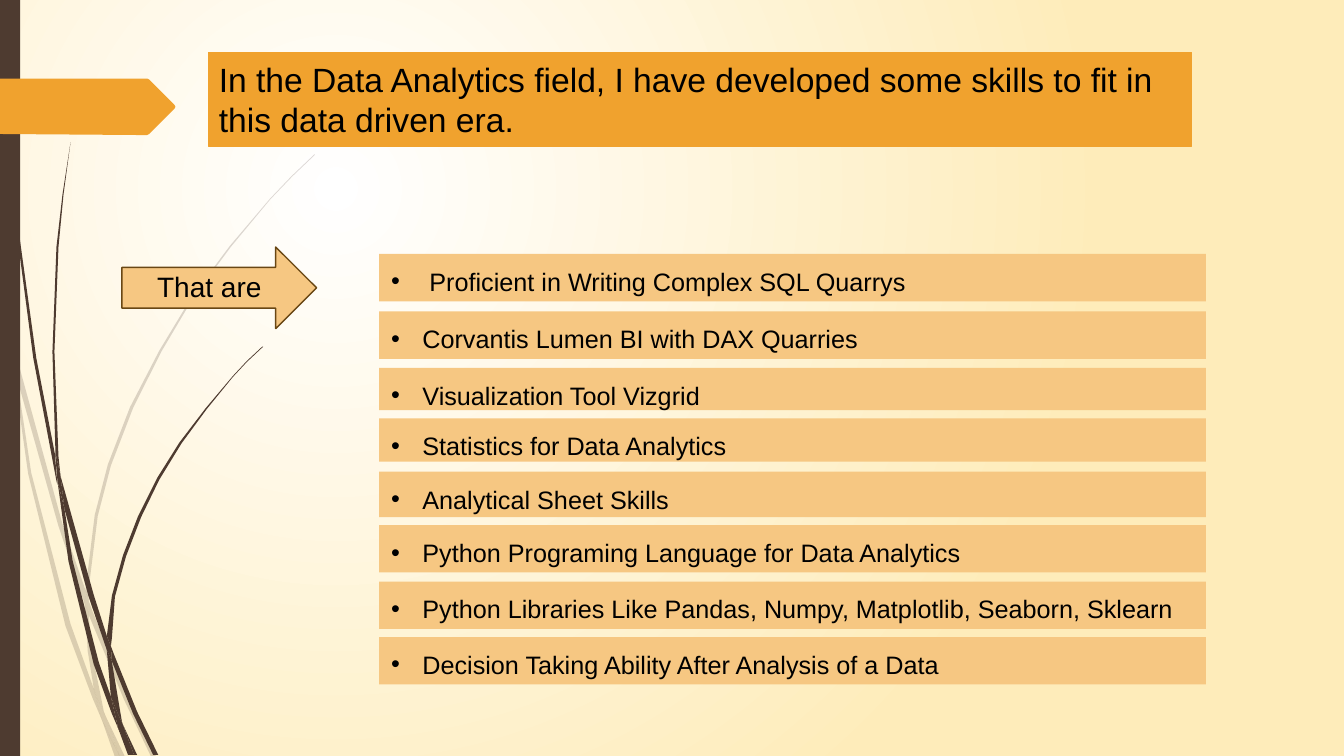
from lxml import etree
from pptx import Presentation
from pptx.dml.color import RGBColor
from pptx.enum.shapes import MSO_SHAPE as Shape
from pptx.enum.text import MSO_ANCHOR as Anchor, MSO_AUTO_SIZE as AutoSize, PP_ALIGN as Align
from pptx.oxml.ns import qn
from pptx.util import Inches, Pt

BROWN = RGBColor(0x4E, 0x3B, 0x30)
ORANGE = RGBColor(0xF0, 0xA2, 0x2E)
PEACH = RGBColor(0xF6, 0xC7, 0x82)
OUTLINE = RGBColor(0x69, 0x47, 0x14)
CREAM = RGBColor(0xFE, 0xEC, 0xBA)
WHITE = RGBColor(0xFF, 0xFF, 0xFF)
BLACK = RGBColor(0, 0, 0)
FONT = "Arial"

HEADLINE = "In the Data Analytics field, I have developed some skills to fit in this data driven era."
LEAD_IN = "That are"
SKILLS = [
    ("Proficient in Writing Complex SQL Quarrys", 2.52, 0.47, 0.38),
    ("Corvantis Lumen BI with DAX Quarries", 3.09, 0.47, 0.31),
    ("Visualization Tool Vizgrid", 3.65, 0.42, 0.31),
    ("Statistics for Data Analytics", 4.15, 0.43, 0.31),
    ("Analytical Sheet Skills", 4.68, 0.45, 0.31),
    ("Python Programing Language for Data Analytics", 5.21, 0.47, 0.31),
    ("Python Libraries Like Pandas, Numpy, Matplotlib, Seaborn, Sklearn", 5.77, 0.47, 0.31),
    ("Decision Taking Ability After Analysis of a Data", 6.32, 0.47, 0.31),
]

PALE_GRASS = [
    [(0.11, 3.5), (0.09, 3.22), (0, 2.82), (0, 2.99), (0.1, 3.44)],
    [(0.58, 5.22), (0.84, 5.99), (0.85, 5.86), (0.62, 5.2), (0.14, 3.45), (0.17, 3.76)],
    [(0.92, 6.07), (0.88, 5.96), (0.88, 6.1), (1.23, 6.94), (1.5, 7.51), (1.55, 7.51), (1.27, 6.92)],
    [(1.19, 7.51), (1.24, 7.51), (1.05, 7.11)],
    [(0.93, 6.83), (0.7, 6.19), (0.31, 4.69), (0.17, 3.76), (0.11, 3.5), (0.28, 4.7),
     (0.65, 6.21), (0.92, 6.93), (1.01, 7.14), (0.99, 7.07)],
    [(0.84, 5.99), (0.87, 6.46), (0.93, 6.83), (0.96, 6.92), (1.05, 7.11), (1.03, 7.06),
     (0.91, 6.46), (0.88, 6.1), (0.88, 6.08)],
    [(0.88, 5.84), (0.97, 5.12), (1.1, 4.62), (1.32, 4.05), (1.6, 3.49), (1.92, 2.95),
     (2.29, 2.45), (2.68, 1.98), (2.9, 1.75), (3.12, 1.54), (3.12, 1.53), (2.89, 1.75),
     (2.68, 1.97), (2.28, 2.44), (1.9, 2.95), (1.58, 3.48), (1.29, 4.04), (1.07, 4.61),
     (0.94, 5.11), (0.85, 5.84), (0.85, 5.86), (0.88, 5.96)],
    [(1.01, 7.14), (1.14, 7.51), (1.19, 7.51)],
    [(0.88, 6.08), (0.88, 6.1), (0.88, 5.96), (0.85, 5.86), (0.84, 5.99)],
    [(0.96, 6.92), (0.93, 6.83), (0.99, 7.07), (1.01, 7.14), (1.19, 7.51), (1.05, 7.11)],
]
DARK_GRASS = [
    [(0.07, 1.1), (0.17, 2.33), (0.33, 3.55), (0.56, 4.77), (0.57, 4.81), (0.55, 4.57),
     (0.55, 4.53), (0.36, 3.55), (0.19, 2.32), (0.08, 1.09), (0.05, 0.48), (0.04, 0),
     (0.03, 0), (0.04, 0.48)],
    [(0.88, 5.92), (1.06, 6.45), (1.06, 6.33), (1.06, 6.31), (0.93, 5.9), (0.6, 4.72), (0.64, 5.05)],
    [(1.13, 6.49), (1.1, 6.41), (1.11, 6.56), (1.32, 7.08), (1.52, 7.49), (1.57, 7.49), (1.36, 7.06)],
    [(1.1, 6.91), (0.98, 6.57), (0.72, 5.56), (0.64, 5.05), (0.57, 4.77), (0.68, 5.57),
     (0.93, 6.59), (1.11, 7.08), (1.17, 7.22), (1.16, 7.17)],
    [(0.6, 4.72), (0.58, 4.53), (0.54, 3.49), (0.58, 2.45), (0.63, 1.93), (0.7, 1.41),
     (0.62, 1.93), (0.56, 2.45), (0.52, 3.49), (0.55, 4.49)],
    [(1.33, 7.49), (1.36, 7.49), (1.22, 7.19)],
    [(0.57, 4.77), (0.64, 5.05), (0.6, 4.72), (0.55, 4.49), (0.55, 4.53)],
    [(1.11, 6.33), (1.14, 5.92), (1.25, 5.52), (1.4, 5.13), (1.58, 4.76), (1.8, 4.4),
     (2.05, 4.06), (2.31, 3.74), (2.45, 3.59), (2.61, 3.44), (2.6, 3.44), (2.45, 3.58),
     (2.31, 3.73), (2.04, 4.05), (1.78, 4.39), (1.56, 4.74), (1.37, 5.12), (1.22, 5.51),
     (1.11, 5.91), (1.06, 6.31), (1.1, 6.41)],
    [(1.17, 7.22), (1.27, 7.49), (1.31, 7.49)],
    [(1.06, 6.45), (1.1, 6.91), (1.16, 7.06), (1.22, 7.19), (1.21, 7.16), (1.11, 6.56), (1.09, 6.51)],
    [(1.06, 6.45), (1.09, 6.51), (1.11, 6.56), (1.1, 6.41), (1.06, 6.31), (1.06, 6.33)],
    [(1.16, 7.06), (1.1, 6.91), (1.16, 7.17), (1.17, 7.22), (1.3, 7.49), (1.33, 7.49), (1.22, 7.19)],
]
SIDE_TAB = [(1.73, 1.08), (1.48, 1.33), (1.46, 1.34), (1.36, 1.34), (0, 1.33), (0, 0.78),
            (1.36, 0.78), (1.46, 0.78), (1.48, 0.79), (1.73, 1.04), (1.74, 1.06)]


def paint(shape, color, line=None, width=0):
    shape.shadow.inherit = False
    shape.fill.solid()
    shape.fill.fore_color.rgb = color
    if line is None:
        shape.line.fill.background()
    else:
        shape.line.color.rgb = line
        shape.line.width = Pt(width)


def draw_outline(shapes, points, color):
    corners = [(Inches(x), Inches(y)) for x, y in points]
    builder = shapes.build_freeform(*corners[0])
    builder.add_line_segments(corners[1:], close=True)
    outline = builder.convert_to_shape()
    paint(outline, color)
    return outline


def draw_grass(slide, blades, alpha=None):
    tuft = slide.shapes.add_group_shape()
    for points in blades:
        blade = draw_outline(tuft.shapes, points, BROWN)
        if alpha:
            tint = blade.element.spPr.find(qn("a:solidFill"))[0]
            etree.SubElement(tint, qn("a:alpha"), val=str(alpha * 1000))


def write(shape, text, size, anchor=Anchor.TOP):
    frame = shape.text_frame
    frame.text = text
    frame.word_wrap = True
    frame.auto_size = AutoSize.NONE
    frame.vertical_anchor = anchor
    paragraph = frame.paragraphs[0]
    paragraph.alignment = Align.LEFT
    font = paragraph.runs[0].font
    font.name, font.size, font.color.rgb = FONT, Pt(size), BLACK
    return frame


def place(shapes, kind, left, top, width, height):
    return shapes.add_shape(kind, Inches(left), Inches(top), Inches(width), Inches(height))


def draw_background(slide):
    fill = slide.background.fill
    fill.gradient()
    for stop, color, position in zip(fill.gradient_stops, (WHITE, CREAM), (0, 1)):
        stop.color.rgb = color
        stop.position = position
    gradient = slide.element.find(".//" + qn("a:gradFill"))
    gradient.remove(gradient.find(qn("a:lin")))
    circle = etree.SubElement(gradient, qn("a:path"), path="circle")
    etree.SubElement(circle, qn("a:fillToRect"), l="50000", t="50000", r="100000", b="100000")


def draw_skill(slide, text, top, height, indent):
    bar = place(slide.shapes, Shape.RECTANGLE, 3.76, top, 8.2, height)
    paint(bar, PEACH)
    frame = write(bar, text, 18)
    frame.margin_left = frame.margin_right = Inches(0.12)
    frame.margin_top = frame.margin_bottom = Inches(0.12)
    properties = frame.paragraphs[0]._p.get_or_add_pPr()
    properties.set("marL", str(Inches(indent)))
    properties.set("indent", str(-Inches(indent)))
    etree.SubElement(properties, qn("a:buFont"), typeface=FONT)
    etree.SubElement(properties, qn("a:buChar"), char="•")


def main():
    deck = Presentation()
    deck.slide_width, deck.slide_height = Inches(13.33), Inches(7.5)
    slide = deck.slides.add_slide(deck.slide_layouts[5])
    draw_background(slide)
    draw_grass(slide, PALE_GRASS, alpha=20)
    draw_grass(slide, DARK_GRASS)
    paint(place(slide.shapes, Shape.RECTANGLE, 0, 0, 0.2, 7.5), BROWN)
    draw_outline(slide.shapes, SIDE_TAB, ORANGE)

    headline = slide.shapes.title
    headline.left, headline.top = Inches(2.07), Inches(0.52)
    headline.width, headline.height = Inches(9.75), Inches(0.93)
    headline.fill.solid()
    headline.fill.fore_color.rgb = ORANGE
    headline.line.color.rgb = ORANGE
    headline.line.width = Pt(0.5)
    write(headline, HEADLINE, 24, Anchor.MIDDLE)

    arrow = place(slide.shapes, Shape.RIGHT_ARROW, 1.21, 2.45, 1.93, 0.81)
    paint(arrow, PEACH, OUTLINE, 1)
    lead_in = slide.shapes.add_textbox(Inches(1.46), Inches(2.62), Inches(1.39), Inches(0.44))
    write(lead_in, LEAD_IN, 20)

    for skill in SKILLS:
        draw_skill(slide, *skill)
    deck.save("out.pptx")


if __name__ == "__main__":
    main()
